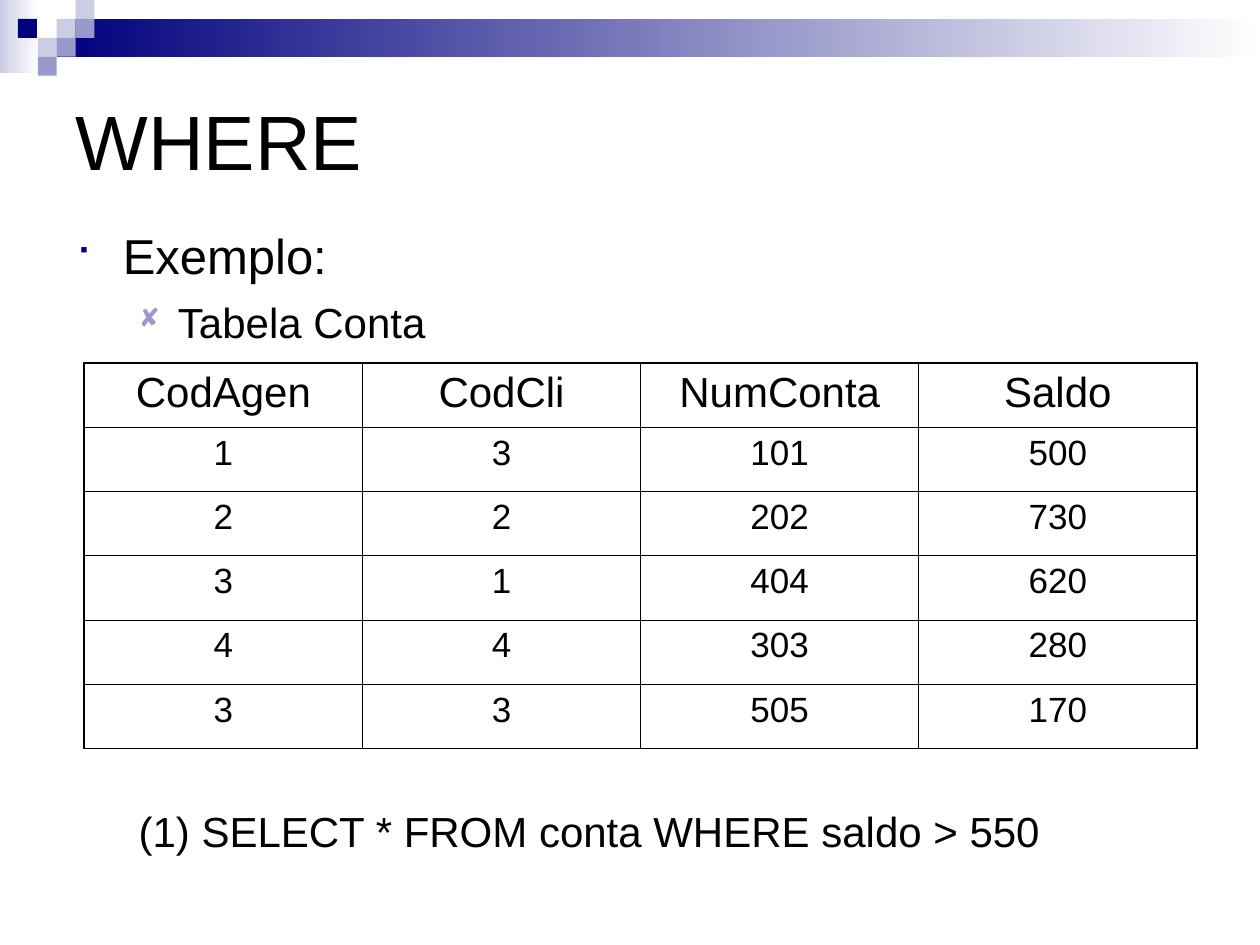
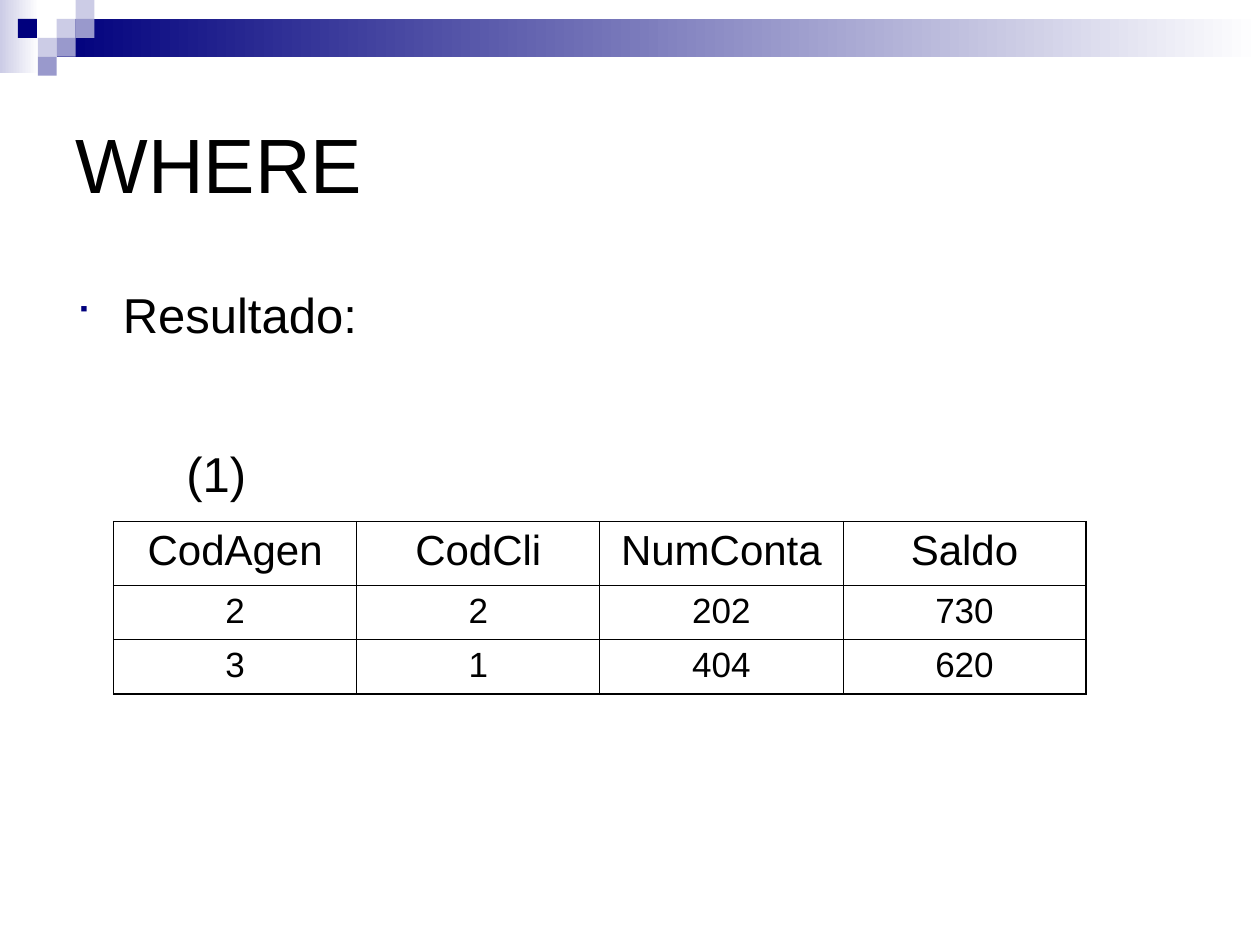
from dataclasses import dataclass

from lxml import etree
from pptx import Presentation
from pptx.dml.color import RGBColor
from pptx.enum.shapes import MSO_SHAPE
from pptx.enum.text import MSO_ANCHOR, MSO_AUTO_SIZE, PP_ALIGN
from pptx.oxml.ns import qn
from pptx.util import Pt

RECTANGLE = MSO_SHAPE.RECTANGLE
TOP, MIDDLE = MSO_ANCHOR.TOP, MSO_ANCHOR.MIDDLE
NO_AUTOFIT = MSO_AUTO_SIZE.NONE
LEFT, CENTER = PP_ALIGN.LEFT, PP_ALIGN.CENTER


@dataclass(frozen=True)
class Theme:
    font: str = "Arial"
    bullet_font: str = "Wingdings"
    ink: str = "000000"
    navy: str = "00007D"
    lilac: str = "9999CC"
    mist: str = "CCCCE6"
    white: str = "FFFFFF"
    title_size: int = 44
    heading_size: int = 28
    detail_size: int = 24
    value_size: int = 20
    outer_border: float = 1.08
    inner_border: float = 0.45


THEME = Theme()
MOSAIC_UNIT = 10.8
MOSAIC = [
    (3, 1, THEME.mist), (4, 0, THEME.mist), (4, 1, THEME.lilac),
    (2, 2, THEME.mist), (0.95, 1, THEME.navy), (3, 2, THEME.lilac),
    (2, 3, THEME.lilac),
]
COLUMNS = ["CodAgen", "CodCli", "NumConta", "Saldo"]
ACCOUNTS = [
    (1, 3, 101, 500),
    (2, 2, 202, 730),
    (3, 1, 404, 620),
    (4, 4, 303, 280),
    (3, 3, 505, 170),
]
MINIMUM_BALANCE = 550


def place(item, left, top, width, height):
    item.left, item.top = Pt(left), Pt(top)
    item.width, item.height = Pt(width), Pt(height)


def add_text(paragraph, text, size):
    run = paragraph.add_run()
    run.text = text
    run.font.name = THEME.font
    run.font.size = Pt(size)
    run.font.color.rgb = RGBColor.from_string(THEME.ink)


def add_block(slide, left, top, width, height, *colours):
    block = slide.shapes.add_shape(RECTANGLE, Pt(left), Pt(top), Pt(width), Pt(height))
    block.shadow.inherit = False
    block.line.fill.background()
    if len(colours) == 1:
        block.fill.solid()
        block.fill.fore_color.rgb = RGBColor.from_string(colours[0])
    else:
        block.fill.gradient()
        block.fill.gradient_angle = 0
        for stop, colour in zip(block.fill.gradient_stops, colours):
            stop.color.rgb = RGBColor.from_string(colour)
    return block


def add_master_band(master, slide):
    blocks = [
        add_block(slide, 0, 0, 22.3, 41.8, THEME.mist, THEME.white),
        add_block(slide, 32.4, 10.8, 687.6, 21.6, THEME.navy, THEME.white),
    ]
    for column, row, colour in MOSAIC:
        blocks.append(add_block(slide, column * MOSAIC_UNIT, row * MOSAIC_UNIT,
                                MOSAIC_UNIT, MOSAIC_UNIT, colour))
    for number, block in enumerate(blocks, 100):
        block.element.nvSpPr.cNvPr.id = number
        master.shapes.element.append(block.element)


def set_title(slide, text, height):
    title = slide.shapes.title
    place(title, 36, 36, 648, height)
    frame = title.text_frame
    frame.auto_size = NO_AUTOFIT
    frame.vertical_anchor = MIDDLE
    frame.margin_top = Pt(10)
    frame.paragraphs[0].alignment = LEFT
    add_text(frame.paragraphs[0], text, THEME.title_size)


def open_body(slide, top, width, height):
    body = slide.placeholders[1]
    place(body, 36, top, width, height)
    frame = body.text_frame
    frame.auto_size = NO_AUTOFIT
    frame.vertical_anchor = TOP
    frame.margin_top = Pt(6.5)
    return frame


def set_bullet(paragraph, margin, hanging, symbol=None, colour=None, percent=100):
    properties = paragraph._p.get_or_add_pPr()
    properties.set("marL", str(Pt(margin)))
    properties.set("indent", str(-Pt(hanging)))
    if symbol is None:
        etree.SubElement(properties, qn("a:buNone"))
        return
    bullet_colour = etree.SubElement(properties, qn("a:buClr"))
    etree.SubElement(bullet_colour, qn("a:srgbClr"), val=colour)
    etree.SubElement(properties, qn("a:buSzPct"), val=str(percent * 1000))
    etree.SubElement(properties, qn("a:buFont"), typeface=THEME.bullet_font)
    etree.SubElement(properties, qn("a:buChar"), char=symbol)


def add_heading(frame, text):
    heading = frame.paragraphs[0]
    set_bullet(heading, 27, 27, "■", THEME.navy, 75)
    heading.space_before = Pt(0)
    add_text(heading, text, THEME.heading_size)


def add_detail(frame, text, space_before, *bullet):
    detail = frame.add_paragraph()
    detail.level = 1
    set_bullet(detail, 58.5, 22.5, *bullet)
    detail.space_before = Pt(space_before)
    add_text(detail, text, THEME.detail_size)


def set_border(cell, side, width):
    border = etree.SubElement(cell._tc.get_or_add_tcPr(), qn(f"a:ln{side}"), w=str(Pt(width)))
    fill = etree.SubElement(border, qn("a:solidFill"))
    etree.SubElement(fill, qn("a:srgbClr"), val=THEME.ink)


def add_accounts_table(slide, accounts, left, top, column_width, header_height, row_height):
    records = [COLUMNS, *accounts]
    last_row, last_column = len(records) - 1, len(COLUMNS) - 1
    table = slide.shapes.add_table(
        len(records), len(COLUMNS), Pt(left), Pt(top),
        Pt(column_width * len(COLUMNS)),
        Pt(header_height + row_height * len(accounts))).table
    table.first_row = table.horz_banding = False
    for column in table.columns:
        column.width = Pt(column_width)
    for r, record in enumerate(records):
        table.rows[r].height = Pt(row_height if r else header_height)
        for c, value in enumerate(record):
            cell = table.cell(r, c)
            outer_sides = {"L": c == 0, "R": c == last_column, "T": r == 0, "B": r == last_row}
            for side, is_outer in outer_sides.items():
                set_border(cell, side, THEME.outer_border if is_outer else THEME.inner_border)
            cell.fill.background()
            paragraph = cell.text_frame.paragraphs[0]
            paragraph.alignment = CENTER
            add_text(paragraph, str(value), THEME.value_size if r else THEME.detail_size)


def add_label(slide, text, left, top, width, height):
    label = slide.shapes.add_textbox(Pt(left), Pt(top), Pt(width), Pt(height))
    frame = label.text_frame
    frame.word_wrap = True
    frame.margin_top = Pt(6.5)
    add_text(frame.paragraphs[0], text, THEME.heading_size)


def build_example(slide):
    set_title(slide, "WHERE", 81)
    body = open_body(slide, 122.4, 664.5, 402.5)
    add_heading(body, "Exemplo:")
    add_detail(body, "Tabela Conta", 7, "◻", THEME.lilac, 80)
    add_detail(body, f"(1) SELECT * FROM conta WHERE saldo > {MINIMUM_BALANCE}", 262)
    add_accounts_table(slide, ACCOUNTS, 48.2, 207.4, 158.95, 36.72, 36.72)


def build_result(slide):
    set_title(slide, "WHERE", 108)
    body = open_body(slide, 156.2, 653, 57.6)
    add_heading(body, "Resultado:")
    selected = [account for account in ACCOUNTS if account[-1] > MINIMUM_BALANCE]
    add_accounts_table(slide, selected, 64.9, 298.1, 138.95, 36.2, 31.1)
    add_label(slide, "(1)", 99.4, 247, 79.2, 41)


def main():
    deck = Presentation()
    deck.slide_width, deck.slide_height = Pt(720), Pt(540)
    layout = deck.slide_layouts[1]
    example, result = [deck.slides.add_slide(layout) for _ in range(2)]
    add_master_band(deck.slide_master, example)
    build_example(example)
    build_result(result)
    deck.save("out.pptx")


if __name__ == "__main__":
    main()
